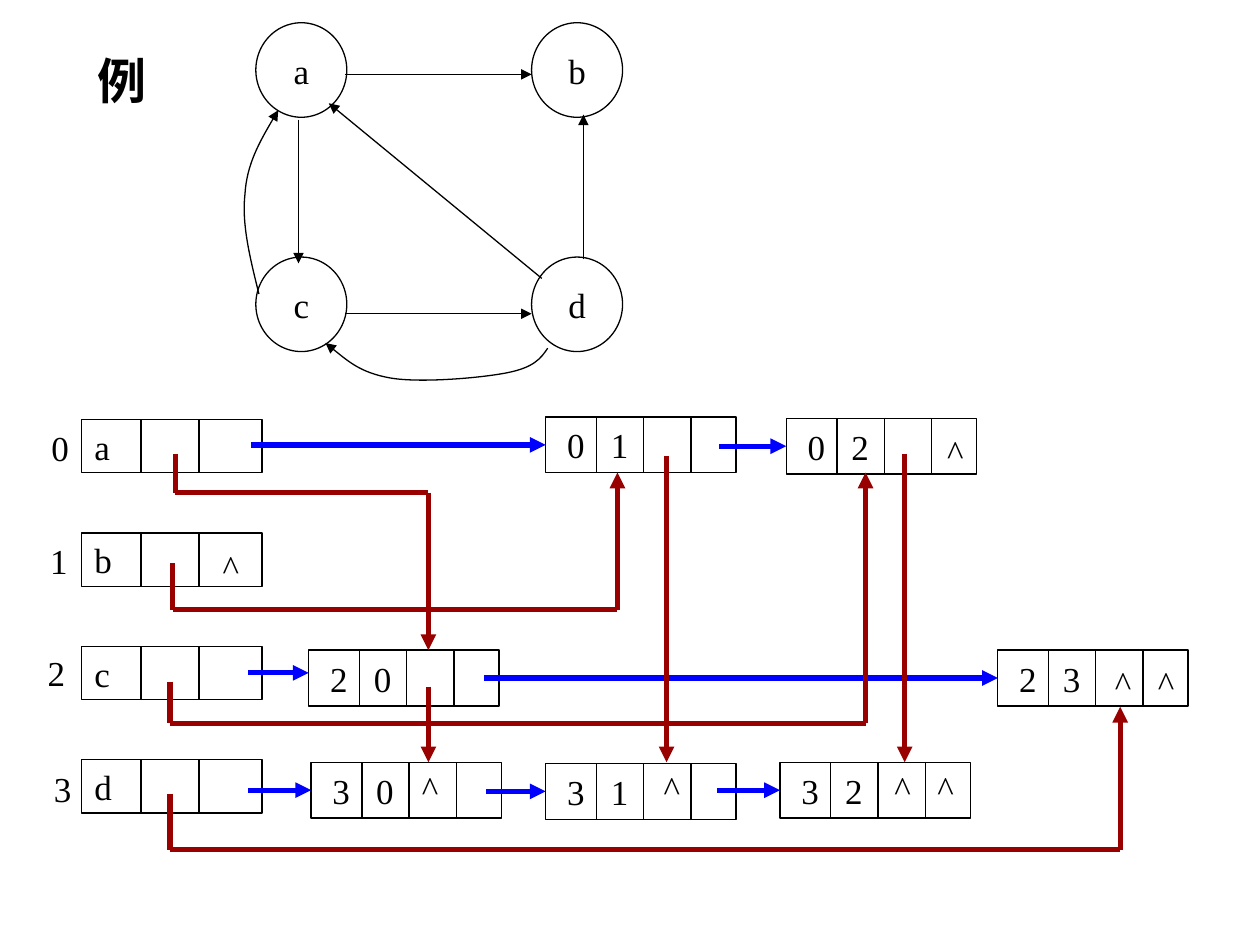
from itertools import pairwise

from lxml import etree
from pptx import Presentation
from pptx import util as u
from pptx.dml.color import RGBColor
from pptx.enum import shapes, text
from pptx.oxml import ns

Pt = u.Pt
BLACK = RGBColor(0x00, 0x00, 0x00)
BLUE = RGBColor(0x00, 0x00, 0xFF)
DARK_RED = RGBColor(0x99, 0x00, 0x00)
LEFT, CENTER = text.PP_ALIGN.LEFT, text.PP_ALIGN.CENTER
TOP, MIDDLE = text.MSO_ANCHOR.TOP, text.MSO_ANCHOR.MIDDLE


def write(shape, content, size=20, bold=False, align=CENTER, anchor=MIDDLE,
          wrap=False, inset=7.2, tab=None):
    frame = shape.text_frame
    frame.text = content
    frame.word_wrap = wrap
    frame.auto_size = text.MSO_AUTO_SIZE.NONE
    frame.vertical_anchor = anchor
    frame.margin_left, frame.margin_right = Pt(inset), Pt(7.2)
    frame.margin_top = frame.margin_bottom = Pt(3.6)
    paragraph = frame.paragraphs[0]
    if tab:
        stops = etree.SubElement(paragraph._p.get_or_add_pPr(), ns.qn("a:tabLst"))
        etree.SubElement(stops, ns.qn("a:tab"), pos=str(Pt(tab)), algn="l")
    paragraph.alignment = align
    font = paragraph.runs[0].font
    font.name, font.size, font.bold = "Times New Roman", Pt(size), bold
    font.color.rgb = BLACK


def draw_line(start, end, color=BLACK, width=0.75, arrow=False):
    line = slide.shapes.add_connector(
        shapes.MSO_CONNECTOR.STRAIGHT, *[Pt(value) for value in (*start, *end)])
    line.line.color.rgb = color
    line.line.width = Pt(width)
    if arrow:
        etree.SubElement(line.line._get_or_add_ln(), ns.qn("a:tailEnd"), type="triangle")
    etree.SubElement(line._element.spPr, ns.qn("a:effectLst"))
    return line


presentation = Presentation()
presentation.slide_width, presentation.slide_height = Pt(720), Pt(540)
slide = presentation.slides.add_slide(presentation.slide_layouts[5])

# Title
title = slide.shapes.title
title.left, title.top, title.width, title.height = Pt(48.2), Pt(25.2), Pt(42.5), Pt(41)
write(title, "例", size=28, bold=True)

# Graph vertices
for name, x, y in [("a", 146.2, 13), ("b", 303.8, 13), ("c", 146.2, 146.9), ("d", 303.8, 146.9)]:
    vertex = slide.shapes.add_shape(
        shapes.MSO_SHAPE.OVAL, Pt(x), Pt(y), Pt(52), Pt(54))
    vertex.shadow.inherit = False
    vertex.fill.background()
    vertex.line.color.rgb = BLACK
    vertex.line.width = Pt(0.75)
    write(vertex, name)

# Straight graph edges
for start, end in [
    ((197.3, 42.5), (303.8, 42.5)),
    ((197.3, 179.3), (303.8, 179.3)),
    ((170.6, 68.4), (170.6, 150.5)),
    ((309.6, 159.1), (187.9, 59)),
    ((333.4, 148.3), (333.4, 65.5)),
]:
    draw_line(start, end, arrow=True)

# Curved graph edges: every three points after the start make one Bézier segment
for points in [
    [(313.2, 199.4), (308.9, 205.2), (304.6, 210.2), (290.2, 213.1), (275, 216),
     (240.5, 218.9), (223.2, 216), (205.9, 213.1), (195.8, 204.5), (185.8, 195.8)],
    [(148.3, 167.8), (142.6, 148.3), (137.5, 128.2), (139.7, 110.9),
     (141.1, 93.6), (150.5, 77.8), (159.1, 62.6)],
]:
    builder = slide.shapes.build_freeform(*points[0], scale=Pt(1))
    builder.add_line_segments(points[1:], close=False)
    curve = builder.convert_to_shape()
    segments = list(curve._element.iter(ns.qn("a:lnTo")))
    outline = segments[0].getparent()
    for first in range(0, len(segments), 3):
        bezier = etree.SubElement(outline, ns.qn("a:cubicBezTo"))
        for segment in segments[first:first + 3]:
            bezier.append(segment[0])
            outline.remove(segment)
    curve.shadow.inherit = False
    curve.fill.background()
    curve.line.color.rgb = BLACK
    curve.line.width = Pt(0.75)
    etree.SubElement(curve.line._get_or_add_ln(), ns.qn("a:tailEnd"), type="triangle")

# Boxes of the orthogonal list: vertex heads, then arc nodes
HEAD = dict(width=103, height=30.4, dividers=(33.8, 67))
NODE = dict(width=108.7, height=31.9, dividers=(29, 56, 83))
boxes = [(name, 46.8, 239.8 + 64.8 * row, HEAD) for row, name in enumerate("abcd")]
boxes += [(name, x, y, NODE) for name, x, y in [
    ("01", 311.8, 238.3), ("02", 449.3, 239), ("20", 176.4, 371.5), ("23", 570.2, 371.5),
    ("30", 177.8, 435.6), ("31", 311.8, 436.3), ("32", 445.7, 435.6)]]
nodes = {}
for name, x, y, kind in boxes:
    box = slide.shapes.add_shape(
        shapes.MSO_SHAPE.RECTANGLE, Pt(x), Pt(y), Pt(kind["width"]), Pt(kind["height"]))
    box.shadow.inherit = False
    box.fill.background()
    box.line.color.rgb = BLACK
    box.line.width = Pt(0.75)
    if kind is NODE:
        write(box, "\t".join(name), align=LEFT, wrap=True, inset=12.2, tab=25)
    else:
        write(box, name, align=LEFT)
    for offset in kind["dividers"]:
        draw_line((x + offset, y), (x + offset, y + kind["height"]))
    nodes[name] = box

# Row numbers and null marks
labels = [(str(row), x, y, CENTER, MIDDLE) for row, (x, y) in enumerate(
    [(22.3, 239.8), (21.6, 304.6), (20.2, 368.6), (23.8, 434.9)])]
labels += [("^", x, y, LEFT, TOP) for x, y in [
    (534.2, 242.6), (120.2, 308.2), (654.5, 374.4), (630, 374.4),
    (528.5, 434.2), (504, 434.2), (234, 434.2), (372.2, 434.2)]]
for content, x, y, align, anchor in labels:
    label = slide.shapes.add_textbox(Pt(x), Pt(y), Pt(24), Pt(31.7))
    write(label, content, align=align, anchor=anchor)

# Blue row pointers, joined to the left side of the next node
for x, name in [(143.3, "01"), (411.1, "02"), (276.5, "23"),
                (141.8, "30"), (277.9, "31"), (409.7, "32")]:
    node = nodes[name]
    middle = (node.top + node.height / 2) / Pt(1)
    pointer = draw_line((x, middle), (node.left / Pt(1), middle), BLUE, 3, arrow=True)
    pointer.end_connect(node, 1)
draw_line((141.8, 384.5), (176.4, 384.5), BLUE, 3, arrow=True)

# Dark red column pointers
for route in [
    [(100.1, 259.2), (100.1, 281.5), (244.8, 281.5), (244.8, 371.5)],
    [(98.6, 321.8), (98.6, 348.3), (352.8, 348.3), (352.8, 270)],
    [(97.2, 389.5), (97.2, 413.3), (494.6, 413.3), (494.6, 270)],
    [(97.2, 453.6), (97.2, 485.5), (640.1, 485.5), (640.1, 403.9)],
    [(244.8, 392.4), (244.8, 435.6)],
    [(380.9, 260.6), (380.9, 435.6)],
    [(517, 259.2), (517, 435.6)],
]:
    for start, end in pairwise(route):
        draw_line(start, end, DARK_RED, 3, arrow=end == route[-1])

presentation.save("out.pptx")
